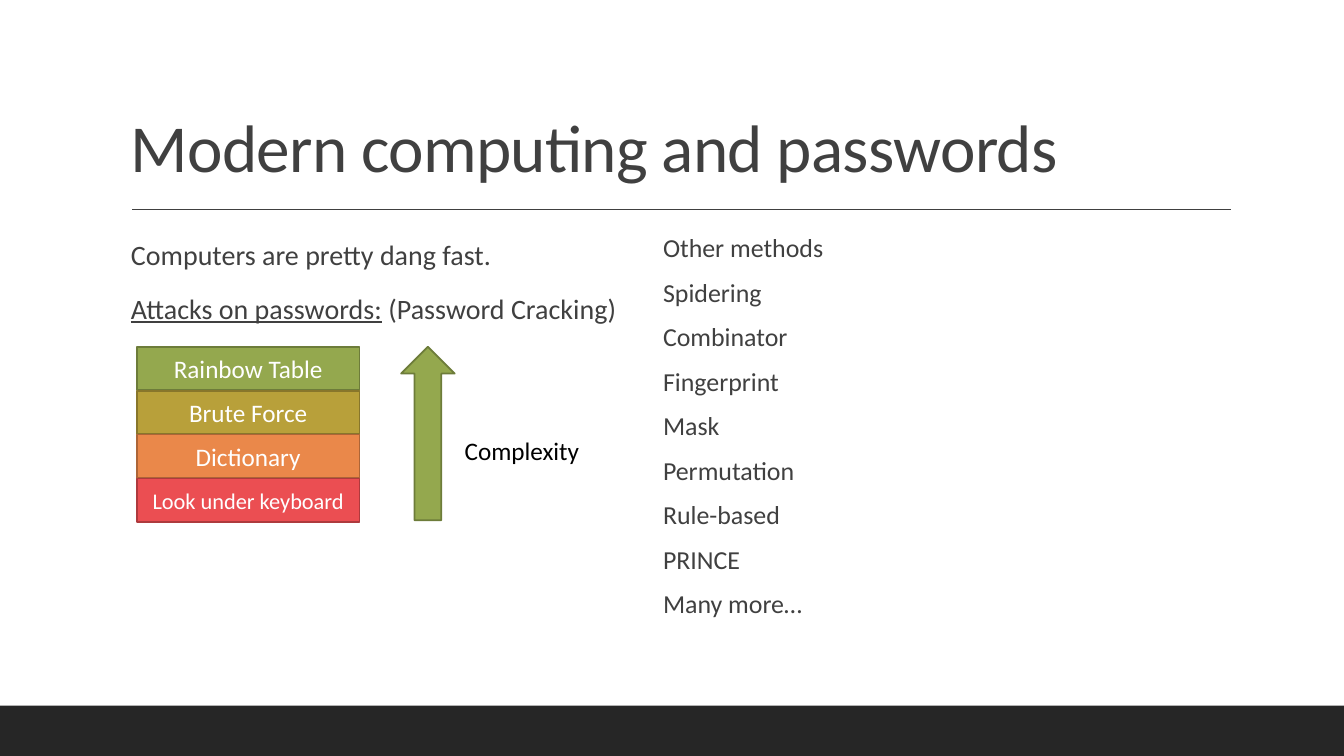
from pptx import Presentation
from pptx.dml.color import RGBColor
from pptx.enum.shapes import MSO_CONNECTOR as Connector, MSO_SHAPE as Shape
from pptx.enum.text import MSO_ANCHOR as Anchor, PP_ALIGN as Align
from pptx.oxml.ns import qn
from pptx.util import Cm, Pt
from lxml.etree import SubElement

COLORS = {
    "footer": "262626", "text": "404040", "label": "000000", "white": "FFFFFF",
    "green": "94A84E", "green_edge": "6D7C3A",
    "gold": "B8A03A", "gold_edge": "88762B",
    "orange": "EA884A", "orange_edge": "AD6537",
    "red": "EB4E52", "red_edge": "AE3A3D",
}
ATTACKS = [  # text, colour, size; most complex first
    ("Rainbow Table", "green", 18),
    ("Brute Force", "gold", 18),
    ("Dictionary", "orange", 18),
    ("Look under keyboard", "red", 16),
]
INTRO = [
    [("Computers are pretty dang fast.", False)],
    [("Attacks on passwords:", True), (" (Password Cracking)", False)],
]
METHODS = ["Other methods", "Spidering", "Combinator", "Fingerprint", "Mask",
           "Permutation", "Rule-based", "PRINCE", "Many more…"]


def rgb(name):
    return RGBColor.from_string(COLORS[name])


def add_span(para, text, size=18, color="text", underline=False, tracking=None):
    span = para.add_run()
    span.text = text
    font = span.font
    font.name, font.size, font.color.rgb = "Calibri", Pt(size), rgb(color)
    if underline:
        font.underline = True
    if tracking is not None:
        span._r.get_or_add_rPr().set("spc", str(int(tracking * 100)))


def add_box(page, left, top, width, height, anchor=Anchor.TOP):
    box = page.shapes.add_textbox(Cm(left), Cm(top), Cm(width), Cm(height))
    box.text_frame.word_wrap = True
    box.text_frame.vertical_anchor = anchor
    return box.text_frame


def add_block(page, kind, left, top, width, height, fill, edge=None):
    block = page.shapes.add_shape(kind, Cm(left), Cm(top), Cm(width), Cm(height))
    block.shadow.inherit = False
    block.fill.solid()
    block.fill.fore_color.rgb = rgb(fill)
    if edge:
        block.line.color.rgb = rgb(edge)
        block.line.width = Pt(1.25)
    else:
        block.line.fill.background()
    return block


def add_heading(page, left, top, width, height):
    frame = add_box(page, left, top, width, height, Anchor.BOTTOM)
    frame.paragraphs[0].line_spacing = 0.9
    add_span(frame.paragraphs[0], "Modern computing and passwords", size=48, tracking=-0.5)
    # Rule under the title
    rule_top = Cm(top + height + 0.45)
    rule = page.shapes.add_connector(Connector.STRAIGHT, Cm(left + 0.28), rule_top,
                                     Cm(left + width + 0.02), rule_top)
    rule.line.color.rgb = rgb("text")
    rule.line.width = Pt(1)
    SubElement(rule._element.spPr, qn("a:effectLst"))


def add_column(page, left, top, width, height, rows, size, spacing=None):
    frame = add_box(page, left, top, width, height)
    frame.margin_left, frame.margin_right = Cm(0.25), 0
    for index, row in enumerate(rows):
        para = frame.add_paragraph() if index else frame.paragraphs[0]
        para.space_before, para.space_after = Pt(12), Pt(2)
        if spacing:
            para.line_spacing = spacing
        for text, underline in row:
            add_span(para, text, size=size, underline=underline)


def add_attack_stack(page, left, top, width, height):
    pitch = height / len(ATTACKS)
    for index, (text, color, size) in enumerate(ATTACKS):
        bar = add_block(page, Shape.RECTANGLE, left, top + index * pitch,
                        width, pitch - 0.01, color, color + "_edge")
        bar.text_frame.vertical_anchor = Anchor.MIDDLE
        para = bar.text_frame.paragraphs[0]
        para.alignment = Align.CENTER
        add_span(para, text, size=size, color="white")


def add_complexity_arrow(page, left, top, width, height):
    add_block(page, Shape.UP_ARROW, left, top, width, height, "green", "green_edge")
    frame = add_box(page, left + width, top + 2.11, 4.55, 1.02)
    add_span(frame.paragraphs[0], "Complexity", color="label")


def main():
    deck = Presentation()
    deck.slide_width, deck.slide_height = Cm(33.87), Cm(19.05)
    page = deck.slides.add_slide(deck.slide_layouts[6])

    # Footer band and title
    add_block(page, Shape.RECTANGLE, 0, 17.78, 33.87, 1.27, "footer")
    add_heading(page, 3.05, 0.79, 27.94, 4.04)

    # Left half: introduction, attacks and their complexity
    add_column(page, 3.05, 5.87, 12.73, 10.44, INTRO, size=20)
    add_attack_stack(page, 3.45, 8.74, 5.61, 4.42)
    add_complexity_arrow(page, 10.11, 8.74, 1.35, 4.37)

    # Right half: other methods
    methods = [[(method, False)] for method in METHODS]
    add_column(page, 16.46, 5.87, 12.73, 10.44, methods, size=18.5, spacing=0.8)

    deck.save("out.pptx")


if __name__ == "__main__":
    main()
